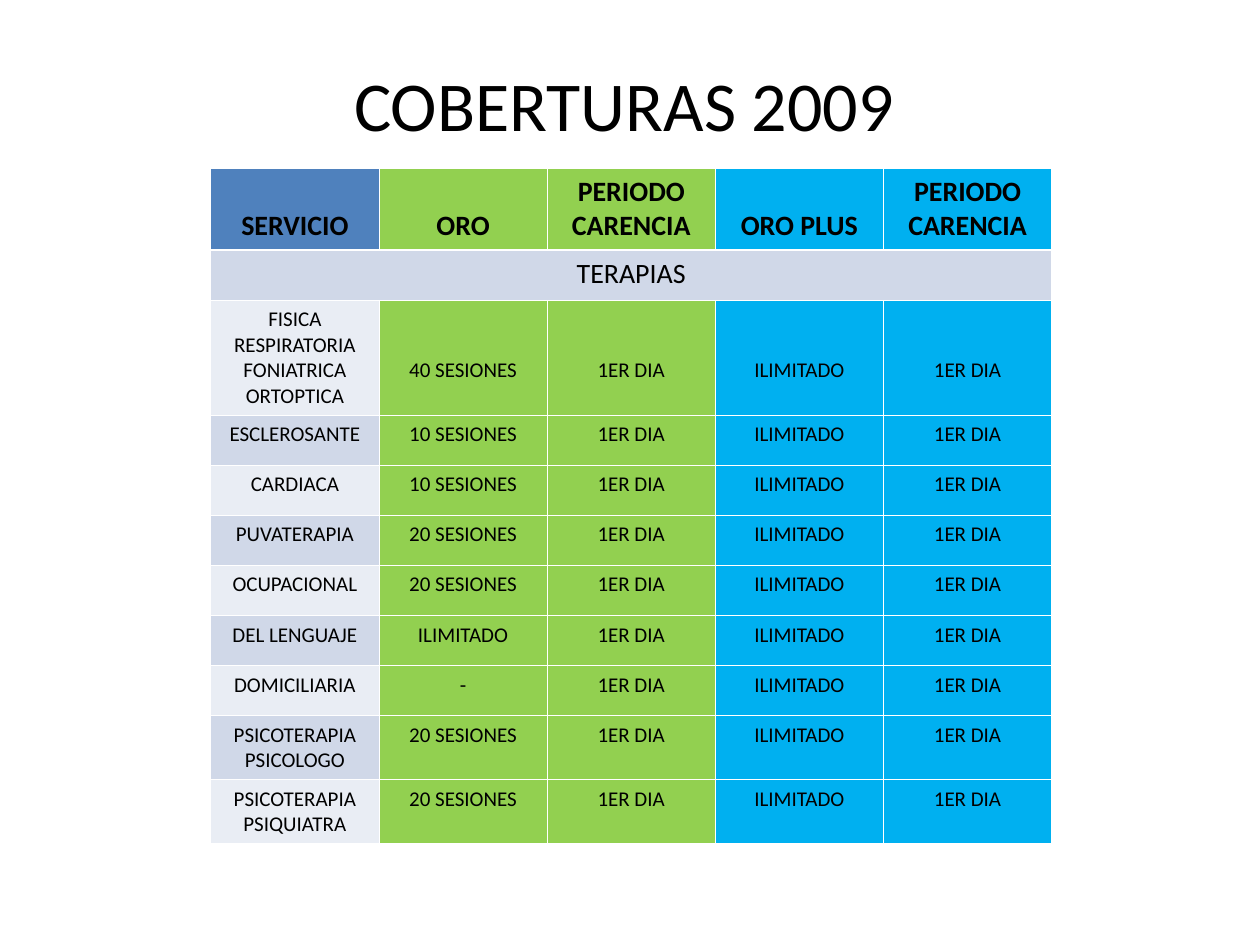
from dataclasses import dataclass

from lxml.etree import SubElement
from pptx import Presentation
from pptx.dml.color import RGBColor
from pptx.enum.text import MSO_ANCHOR, PP_ALIGN
from pptx.oxml.ns import qn
from pptx.util import Cm, Pt


@dataclass(frozen=True)
class Theme:
    font: str = "Calibri"
    text: str = "000000"
    border: str = "FFFFFF"
    header: str = "4F81BD"
    bands: tuple = ("E9EDF4", "D0D8E8")
    oro: str = "92D050"
    oro_plus: str = "00B0F0"
    title_size: int = 40
    header_size: int = 16
    body_size: int = 12
    thin: float = 0.45
    thick: float = 1.47


class SlideBuilder:
    """Adds styled elements to the current slide."""

    def __init__(self, prs, theme):
        self.theme = theme
        self.s = prs.slides.add_slide(prs.slide_layouts[6])

    def text(self, tf, text, size, bold=False):
        tf.word_wrap = True
        p = tf.paragraphs[0]
        p.text = text
        p.alignment = PP_ALIGN.CENTER
        p.font.name = self.theme.font
        p.font.size = Pt(size)
        p.font.bold = bold
        p.font.color.rgb = RGBColor.from_string(self.theme.text)

    def title(self, text, left, top, width, height):
        sp = self.s.shapes.add_textbox(Cm(left), Cm(top), Cm(width), Cm(height))
        sp.text_frame.vertical_anchor = MSO_ANCHOR.MIDDLE
        self.text(sp.text_frame, text, self.theme.title_size)

    def borders(self, cell, top, bottom):
        tc_pr = cell._tc.get_or_add_tcPr()
        thin = self.theme.thin
        for side, width in (("L", thin), ("R", thin), ("T", top), ("B", bottom)):
            ln = SubElement(tc_pr, qn(f"a:ln{side}"), w=str(Pt(width)))
            fill = SubElement(ln, qn("a:solidFill"))
            SubElement(fill, qn("a:srgbClr"), val=self.theme.border)

    def cell(self, cell, text, fill, size, bold=False, drop=0, top=None, bottom=None):
        self.borders(cell, top or self.theme.thin, bottom or self.theme.thin)
        cell.fill.solid()
        cell.fill.fore_color.rgb = RGBColor.from_string(fill)
        cell.margin_top = Cm(0.13 + drop)
        self.text(cell.text_frame, text, size, bold)

    def table(self, left, top, col_width, heights, columns):
        shape = self.s.shapes.add_table(
            len(heights), columns, Cm(left), Cm(top),
            Cm(col_width * columns), Cm(sum(heights)))
        table = shape.table
        table.first_row = table.horz_banding = False
        for column in table.columns:
            column.width = Cm(col_width)
        for row, height in zip(table.rows, heights):
            row.height = Cm(height)
        return table

    def coverage_table(self, headers, section, services):
        t = self.theme
        plans = (t.oro, t.oro, t.oro_plus, t.oro_plus)
        heights = [1.65, 1.01, 2.32] + [1.01] * 6 + [1.29] * 2
        table = self.table(4.25, 3.39, 3.39, heights, len(headers))

        for c, (text, fill) in enumerate(zip(headers, (t.header, *plans))):
            drop = 0 if text.startswith("PERIODO") else 0.69
            self.cell(table.cell(0, c), text, fill, t.header_size,
                      bold=True, drop=drop, bottom=t.thick)

        for c in range(len(headers)):
            self.cell(table.cell(1, c), "" if c else section, t.bands[1],
                      t.header_size, top=t.thick)
        table.cell(1, 0).merge(table.cell(1, len(headers) - 1))

        for i, (service, sessions) in enumerate(services):
            texts = (service, sessions, "1ER DIA", "ILIMITADO", "1ER DIA")
            for c, (text, fill) in enumerate(zip(texts, (t.bands[i % 2], *plans))):
                drop = 1.03 if i == 0 and c else 0
                self.cell(table.cell(i + 2, c), text, fill, t.body_size, drop=drop)


def main():
    prs = Presentation()
    prs.slide_width, prs.slide_height = Cm(25.4), Cm(19.05)
    slide = SlideBuilder(prs, Theme())
    slide.title("COBERTURAS 2009", 1.78, 1.2, 21.6, 1.78)
    slide.coverage_table(
        ("SERVICIO", "ORO", "PERIODO CARENCIA", "ORO PLUS", "PERIODO CARENCIA"),
        "TERAPIAS",
        (
            ("FISICA RESPIRATORIA FONIATRICA ORTOPTICA", "40 SESIONES"),
            ("ESCLEROSANTE", "10 SESIONES"),
            ("CARDIACA", "10 SESIONES"),
            ("PUVATERAPIA", "20 SESIONES"),
            ("OCUPACIONAL", "20 SESIONES"),
            ("DEL LENGUAJE", "ILIMITADO"),
            ("DOMICILIARIA", "-"),
            ("PSICOTERAPIA PSICOLOGO", "20 SESIONES"),
            ("PSICOTERAPIA PSIQUIATRA", "20 SESIONES"),
        ))
    prs.save("out.pptx")


if __name__ == "__main__":
    main()
